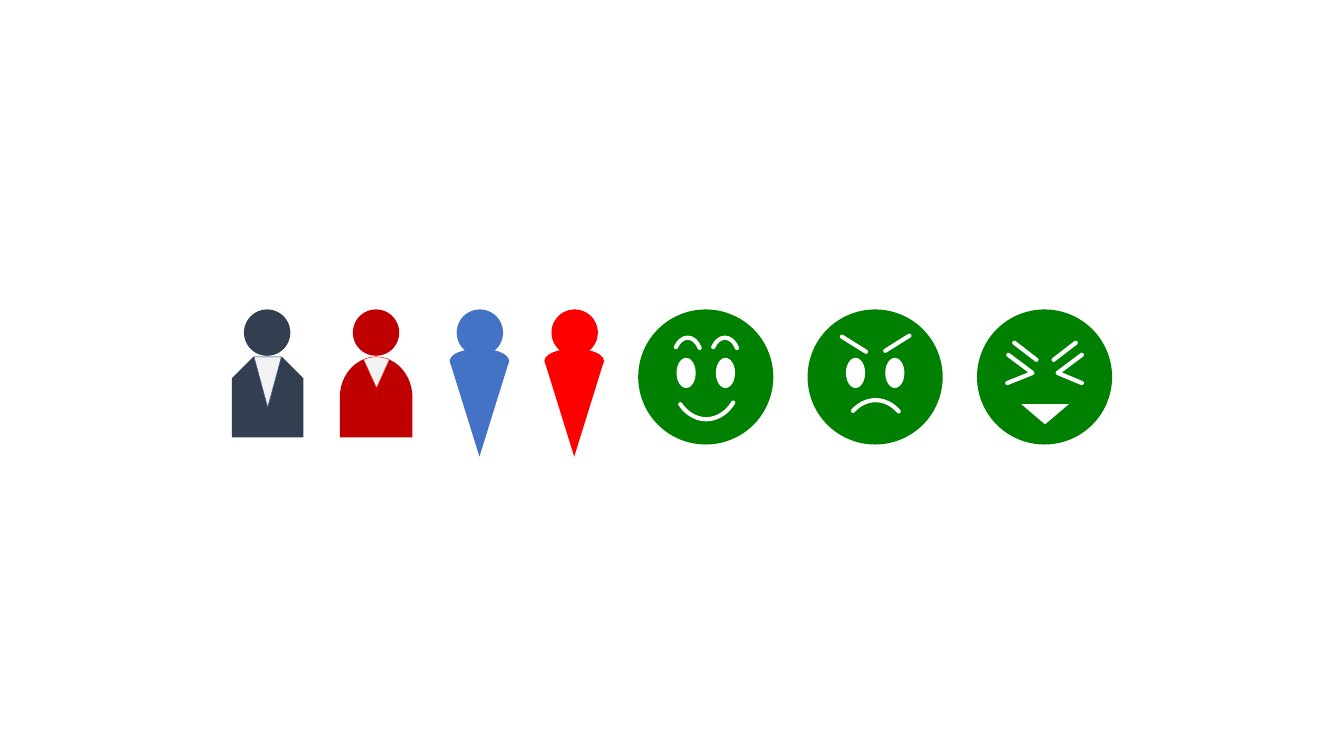
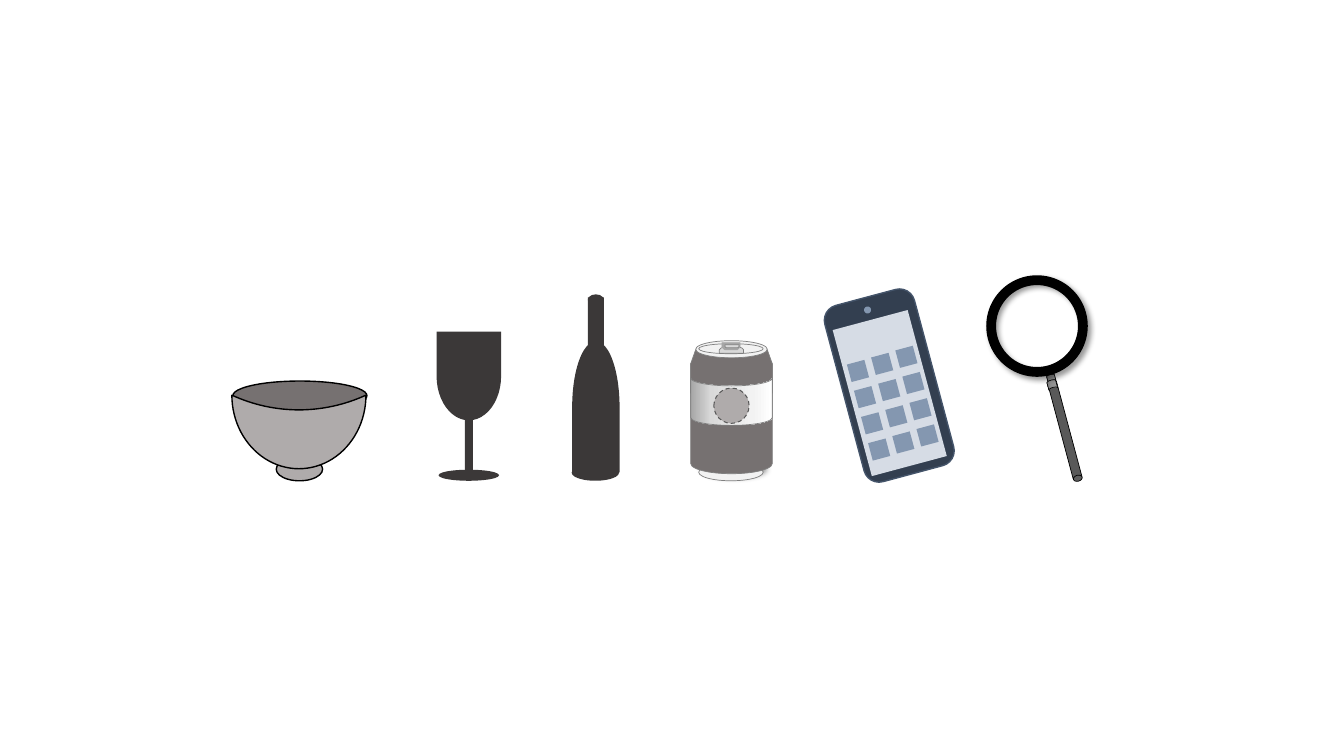
"""Build two slides of icons: people and faces, then everyday objects."""
import pptx
import pptx.dml.color
import pptx.enum.dml
import pptx.enum.shapes
import pptx.oxml.ns
import pptx.util
from lxml import etree

Inches = pptx.util.Inches
RGBColor = pptx.dml.color.RGBColor
SHAPE = pptx.enum.shapes.MSO_SHAPE
qn = pptx.oxml.ns.qn

WHITE = RGBColor(0xFF, 0xFF, 0xFF)
BLACK = RGBColor(0x00, 0x00, 0x00)
GREEN = RGBColor(0x00, 0x80, 0x00)
RED = RGBColor(0xFF, 0x00, 0x00)
DARK_RED = RGBColor(0xC0, 0x00, 0x00)
BLUE = RGBColor(0x44, 0x72, 0xC4)
COLLAR_BLUE = RGBColor(0x2F, 0x55, 0x97)
NAVY = RGBColor(0x33, 0x3F, 0x50)
SLATE = RGBColor(0x44, 0x54, 0x6A)
TILE_BLUE = RGBColor(0x84, 0x97, 0xB0)
SCREEN_BLUE = RGBColor(0xD6, 0xDC, 0xE5)
CHARCOAL = RGBColor(0x3B, 0x38, 0x38)
PALE = RGBColor(0xF2, 0xF2, 0xF2)
SILVER = RGBColor(0xD9, 0xD9, 0xD9)
TAB_GRAY = RGBColor(0xA6, 0xA6, 0xA6)
EDGE_GRAY = RGBColor(0x80, 0x80, 0x80)
WARM_GRAY = RGBColor(0x76, 0x71, 0x71)
LIGHT_WARM = RGBColor(0xAF, 0xAB, 0xAB)
HANDLE_GRAY = RGBColor(0x59, 0x59, 0x59)
TIP_GRAY = RGBColor(0x5F, 0x5F, 0x5F)
LABEL_STOPS = [(0, "A6A6A6"), (25, "D9D9D9"), (75, "F2F2F2"), (100, "FFFFFF")]
METAL_STOPS = [(0, "9D9D9D"), (50, "909090"), (100, "7C7C7C")]


def style(shape, fill=None, line=None, weight=1, round_cap=False, shadow_angle=None):
    """Give a shape its fill (a colour or gradient stops), outline and shadow."""
    if isinstance(fill, list):
        shape.fill.gradient()
        shape.fill.gradient_angle = 270
        stops = shape._element.spPr.find(".//" + qn("a:gsLst"))
        stops.clear()
        for percent, value in fill:
            stop = etree.SubElement(stops, qn("a:gs"), pos=str(percent * 1000))
            etree.SubElement(stop, qn("a:srgbClr"), val=value)
    elif fill is not None:
        shape.fill.solid()
        shape.fill.fore_color.rgb = fill
    elif hasattr(shape, "fill"):
        shape.fill.background()
    if line is None:
        shape.line.fill.background()
    else:
        shape.line.color.rgb = line
        shape.line.width = pptx.util.Pt(weight)
    properties = shape._element.spPr
    if round_cap:
        outline = properties.find(qn("a:ln"))
        outline.set("cap", "rnd")
        etree.SubElement(outline, qn("a:round"))
    if hasattr(shape, "shadow"):
        shape.shadow.inherit = False
    else:
        etree.SubElement(properties, qn("a:effectLst"))
    if shadow_angle is not None:
        shadow = etree.SubElement(
            properties.find(qn("a:effectLst")), qn("a:outerShdw"),
            blurRad=str(int(pptx.util.Pt(4))), dist=str(int(pptx.util.Pt(3))),
            dir=str(shadow_angle * 60000), algn="ctr", rotWithShape="0")
        color = etree.SubElement(shadow, qn("a:srgbClr"), val="000000")
        etree.SubElement(color, qn("a:alpha"), val="40000")


def place(icon, kind, left, top, width, height, rotation=0, adjust=(), **look):
    """Add a preset shape to an icon and style it."""
    shape = icon.shapes.add_shape(
        kind, Inches(left), Inches(top), Inches(width), Inches(height))
    shape.rotation = rotation
    for index, value in enumerate(adjust):
        shape.adjustments[index] = value
    style(shape, **look)
    return shape


deck = pptx.Presentation()
deck.slide_width = Inches(13.33)
deck.slide_height = Inches(7.5)
people = deck.slides.add_slide(deck.slide_layouts[6])
objects = deck.slides.add_slide(deck.slide_layouts[6])

HEAD = 0.46
HEAD_TOP = 3.07
DEGREE = 0.6
chalk = dict(line=WHITE, weight=3, round_cap=True)

man = people.shapes.add_group_shape()
place(man, SHAPE.SNIP_2_SAME_RECTANGLE, 2.3, 3.54, 0.71, 0.8, adjust=(0.3, 0), fill=NAVY)
place(man, SHAPE.ISOSCELES_TRIANGLE, 2.52, 3.54, 0.27, 0.5, rotation=180,
      fill=PALE, line=COLLAR_BLUE, weight=0.25)
place(man, SHAPE.OVAL, 2.42, HEAD_TOP, HEAD, HEAD, fill=NAVY)

woman = people.shapes.add_group_shape()
place(woman, SHAPE.OVAL, 3.5, HEAD_TOP, HEAD, HEAD, fill=DARK_RED)
place(woman, SHAPE.FLOWCHART_DELAY, 3.33, 3.58, 0.8, 0.72, rotation=270, fill=DARK_RED)
place(woman, SHAPE.PIE, 3.42, 3.54, 0.63, 0.62,
      adjust=(245.6 * DEGREE, 294.3 * DEGREE), fill=PALE, line=RED, weight=0.25)

for left, color in ((4.46, BLUE), (5.4, RED)):
    pawn = people.shapes.add_group_shape()
    place(pawn, SHAPE.ISOSCELES_TRIANGLE, left, 3.58, 0.59, 0.95, rotation=180, fill=color)
    place(pawn, SHAPE.OVAL, left, 3.46, 0.59, 0.24, fill=color)
    place(pawn, SHAPE.OVAL, left + 0.07, HEAD_TOP, HEAD, HEAD, fill=color)

faces = []
for column in range(3):
    face = people.shapes.add_group_shape()
    left = 6.33 + column * 1.68
    place(face, SHAPE.OVAL, left, HEAD_TOP, 1.34, 1.34, fill=GREEN)
    if column < 2:
        for offset in (0.38, 0.77):
            place(face, SHAPE.OVAL, left + offset, 3.55, 0.19, 0.3, fill=WHITE)
    faces.append(face)
happy, angry, laughing = faces

place(happy, SHAPE.ARC, 6.67, 3.33, 0.67, 0.83,
      adjust=(43 * DEGREE, 134.1 * DEGREE), **chalk)
for left in (6.68, 7.05):
    place(happy, SHAPE.ARC, left, 3.35, 0.28, 0.43,
          adjust=(225.9 * DEGREE, 317 * DEGREE), **chalk)
place(angry, SHAPE.ARC, 8.35, 3.97, 0.67, 0.83,
      adjust=(233.9 * DEGREE, 307.1 * DEGREE), **chalk)

for face, x1, y1, x2, y2 in (
        (angry, 8.35, 3.34, 8.59, 3.49), (angry, 9.02, 3.33, 8.78, 3.48),
        (laughing, 10.06, 3.4, 10.28, 3.57), (laughing, 10.67, 3.4, 10.45, 3.57)):
    brow = face.shapes.add_connector(
        pptx.enum.shapes.MSO_CONNECTOR.STRAIGHT,
        Inches(x1), Inches(y1), Inches(x2), Inches(y2))
    style(brow, **chalk)

for outer_top, inner, outer_bottom in ((10, 10.24, 9.99), (10.73, 10.49, 10.73)):
    squint = laughing.shapes.build_freeform(Inches(outer_top), Inches(3.52))
    squint.add_line_segments(
        [(Inches(inner), Inches(3.7)), (Inches(outer_bottom), Inches(3.8))], close=False)
    style(squint.convert_to_shape(), **chalk)
place(laughing, SHAPE.ISOSCELES_TRIANGLE, 10.13, 4.01, 0.47, 0.2, rotation=180, fill=WHITE)

bowl = objects.shapes.add_group_shape()
place(bowl, SHAPE.OVAL, 2.74, 4.54, 0.46, 0.23, fill=LIGHT_WARM, line=BLACK)
place(bowl, SHAPE.OVAL, 2.31, 3.78, 1.33, 0.29, fill=WARM_GRAY, line=BLACK)
place(bowl, SHAPE.MOON, 2.6, 3.62, 0.73, 1.33, rotation=270, adjust=(0.8,),
      fill=LIGHT_WARM, line=BLACK)

glass = objects.shapes.add_group_shape()
place(glass, SHAPE.FLOWCHART_DELAY, 4.21, 3.41, 0.88, 0.64, rotation=90, fill=CHARCOAL)
place(glass, SHAPE.RECTANGLE, 4.61, 4, 0.08, 0.71, fill=CHARCOAL)
place(glass, SHAPE.OVAL, 4.35, 4.66, 0.6, 0.11, fill=CHARCOAL)

bottle = objects.shapes.add_group_shape()
place(bottle, SHAPE.RECTANGLE, 5.83, 2.95, 0.16, 0.77, fill=CHARCOAL)
place(bottle, SHAPE.FLOWCHART_DELAY, 5.26, 3.8, 1.3, 0.47, rotation=270, fill=CHARCOAL)
place(bottle, SHAPE.OVAL, 5.67, 4.61, 0.47, 0.16, fill=CHARCOAL)
place(bottle, SHAPE.OVAL, 5.83, 2.92, 0.16, 0.11, fill=CHARCOAL)

can = objects.shapes.add_group_shape()
rim = dict(line=EDGE_GRAY, weight=0.5)
place(can, SHAPE.OVAL, 6.93, 4.6, 0.64, 0.17, fill=PALE, shadow_angle=315, **rim)
place(can, SHAPE.CAN, 6.85, 3.51, 0.81, 1.19, fill=WARM_GRAY, **rim)
shoulder = can.shapes.build_freeform(Inches(6.9), Inches(3.47))
shoulder.add_line_segments([(Inches(x), Inches(y)) for x, y in (
    (6.85, 3.61), (6.85, 3.9), (7.66, 3.9), (7.66, 3.61), (7.61, 3.47))])
style(shoulder.convert_to_shape(), fill=WARM_GRAY, **rim)
place(can, SHAPE.OVAL, 6.9, 3.38, 0.71, 0.17, fill=PALE, **rim)
place(can, SHAPE.FLOWCHART_DELAY, 7.22, 3.35, 0.07, 0.24, rotation=270, fill=SILVER, **rim)
place(can, SHAPE.OVAL, 6.93, 3.41, 0.64, 0.1, **rim)
place(can, SHAPE.SNIP_2_SAME_RECTANGLE, 7.16, 3.4, 0.18, 0.07, rotation=180,
      adjust=(0.4, 0), fill=TAB_GRAY, line=TAB_GRAY, weight=0.5)
place(can, SHAPE.SNIP_2_SAME_RECTANGLE, 7.19, 3.42, 0.14, 0.03, rotation=180,
      adjust=(0.4, 0), fill=SILVER, **rim)
place(can, SHAPE.FLOWCHART_STORED_DATA, 7.02, 3.58, 0.47, 0.81, rotation=270,
      fill=LABEL_STOPS, **rim)
seal = place(can, SHAPE.OVAL, 7.08, 3.85, 0.35, 0.35,
             fill=LIGHT_WARM, line=HANDLE_GRAY, weight=0.75)
seal.line.dash_style = pptx.enum.dml.MSO_LINE.DASH

TILT = 345
phone = objects.shapes.add_group_shape()
place(phone, SHAPE.ROUNDED_RECTANGLE, 8.36, 2.92, 0.92, 1.81, rotation=TILT,
      fill=NAVY, line=SLATE)
place(phone, SHAPE.RECTANGLE, 8.44, 3.15, 0.77, 1.5, rotation=TILT, fill=SCREEN_BLUE)
place(phone, SHAPE.FLOWCHART_CONNECTOR, 8.57, 3.04, 0.07, 0.07, rotation=TILT, fill=TILE_BLUE)
for row in range(4):
    for column in range(3):
        place(phone, SHAPE.RECTANGLE, 8.42 + column * 0.24 + row * 0.07,
              3.59 - column * 0.07 + row * 0.26, 0.18, 0.18, rotation=TILT, fill=TILE_BLUE)

LEAN = 75
magnifier = objects.shapes.add_group_shape()
edge = dict(rotation=LEAN, line=BLACK, weight=0.5)
place(magnifier, SHAPE.RECTANGLE, 10.07, 4.22, 0.98, 0.09, fill=HANDLE_GRAY, **edge)
place(magnifier, SHAPE.OVAL, 10.66, 4.7, 0.06, 0.09, fill=TIP_GRAY, **edge)
for left, top, width, height in ((10.38, 3.68, 0.07, 0.07), (10.39, 3.71, 0.07, 0.08),
                                 (10.39, 3.77, 0.09, 0.09)):
    place(magnifier, SHAPE.FLOWCHART_STORED_DATA, left, top, width, height,
          fill=METAL_STOPS, **edge)
place(magnifier, SHAPE.OVAL, 9.83, 2.78, 0.91, 0.91, rotation=LEAN,
      line=BLACK, weight=7, shadow_angle=45)

deck.save("out.pptx")
